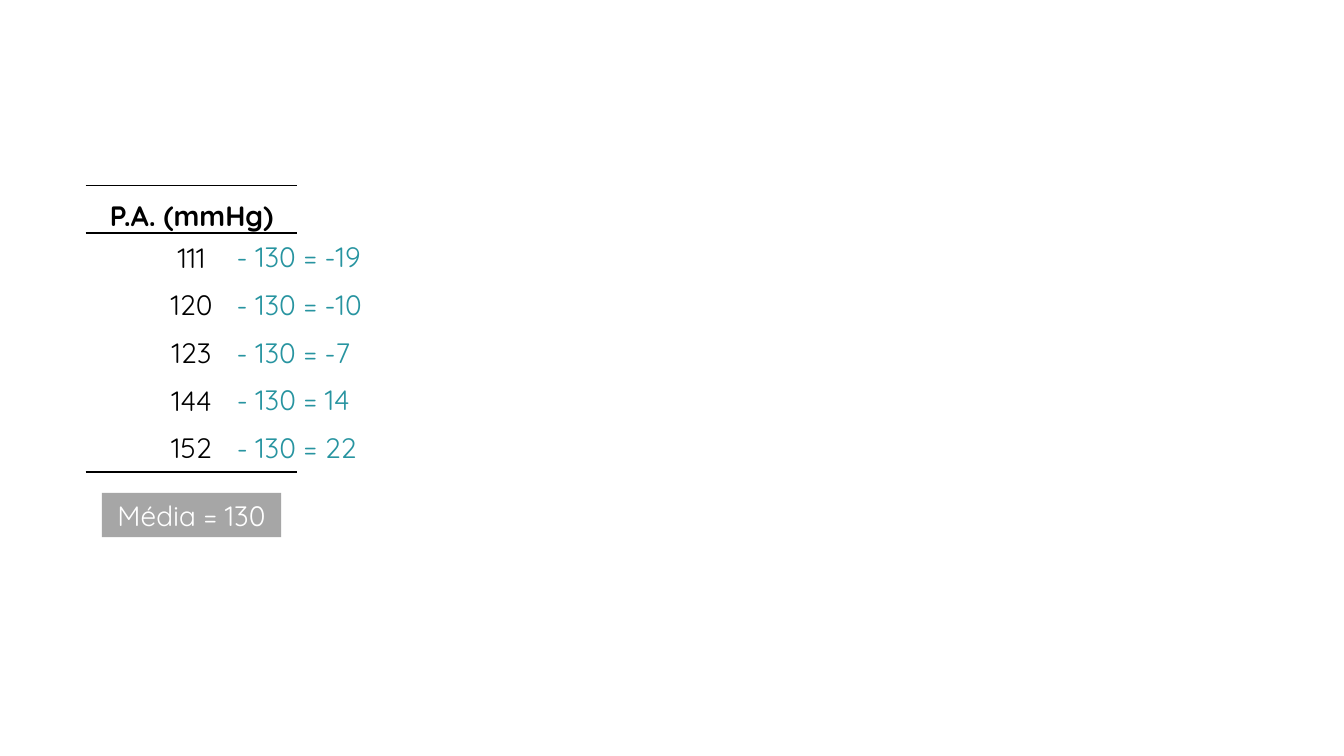
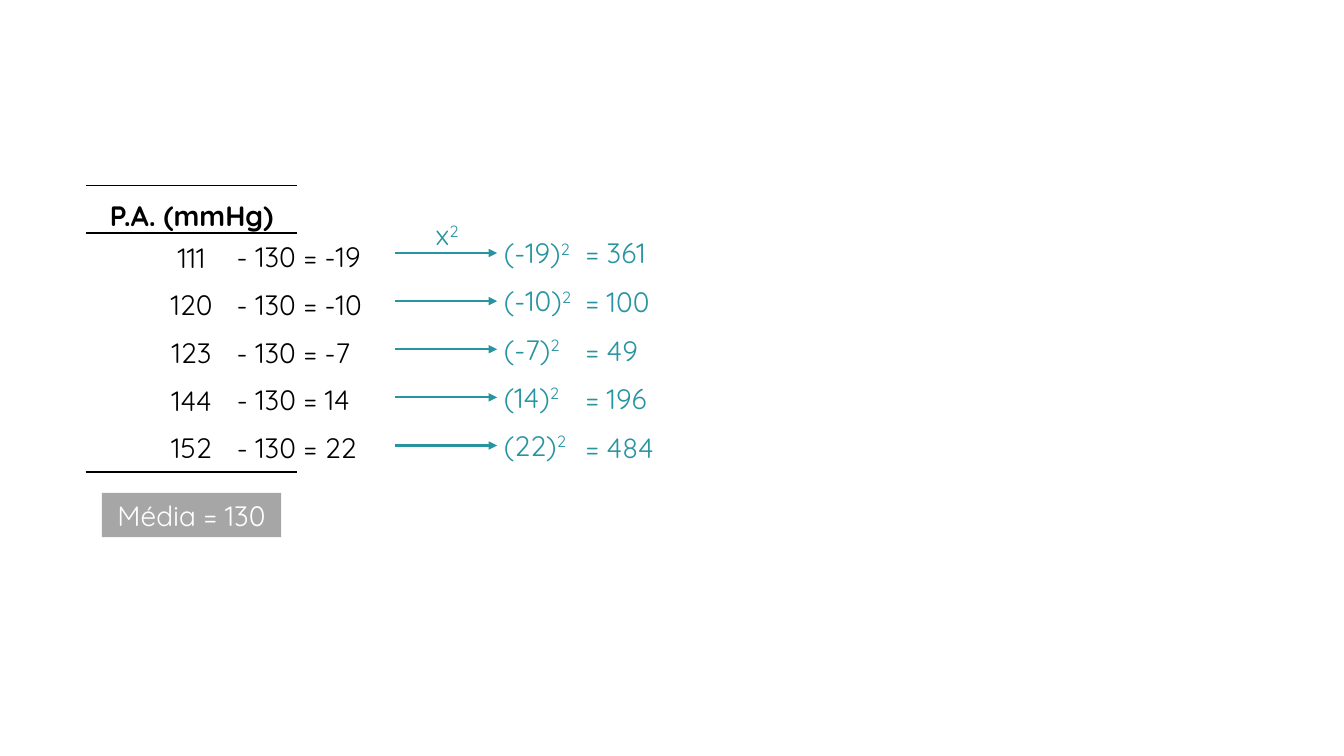
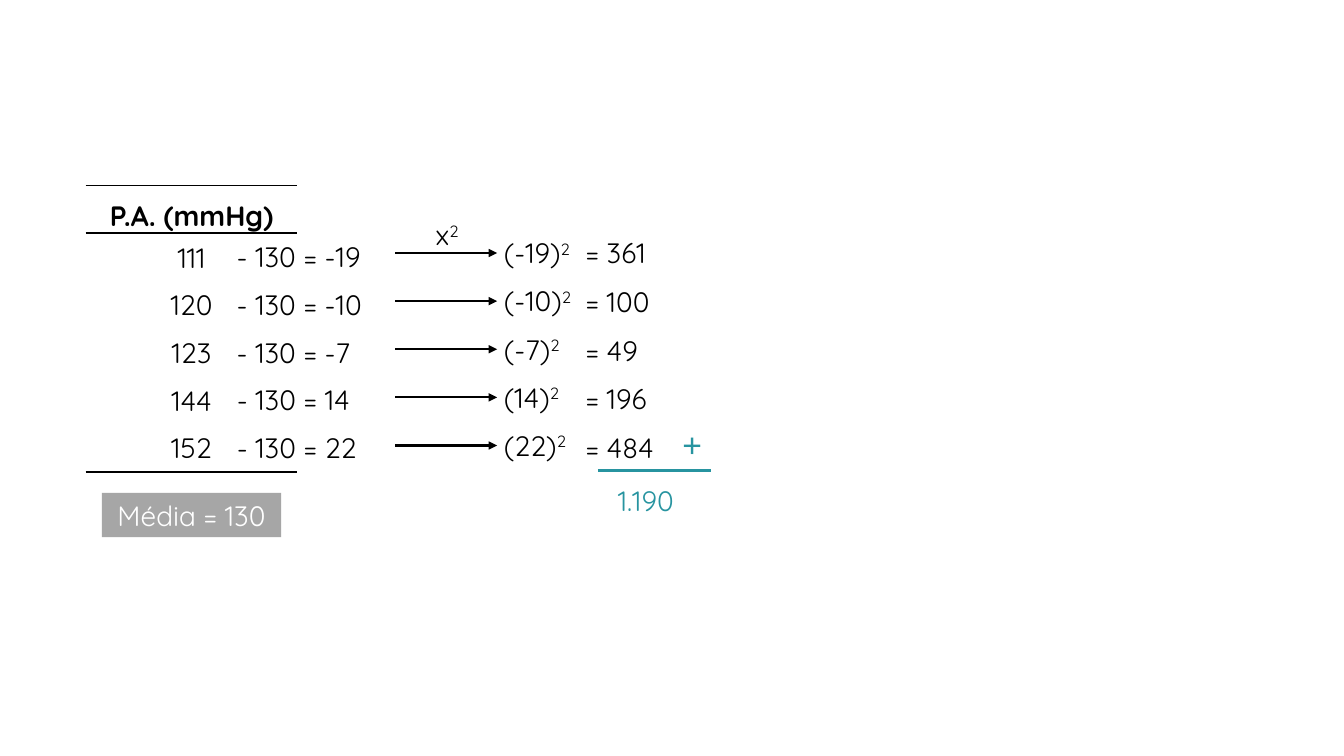
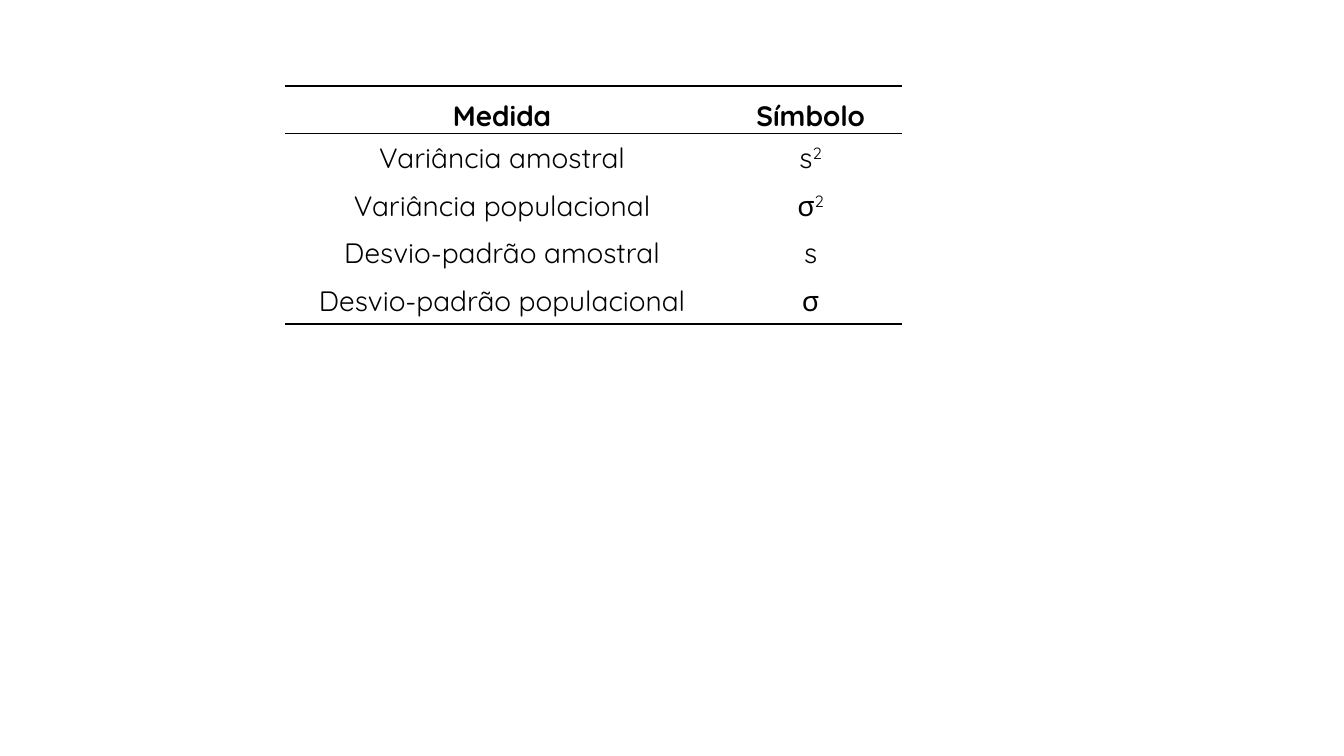
from dataclasses import dataclass

from lxml import etree
from pptx import Presentation
from pptx.dml.color import RGBColor
from pptx.enum.shapes import MSO_CONNECTOR, MSO_SHAPE
from pptx.enum.text import MSO_ANCHOR, MSO_AUTO_SIZE, PP_ALIGN
from pptx.oxml.ns import qn
from pptx.util import Inches, Pt

LEFT, CENTER = PP_ALIGN.LEFT, PP_ALIGN.CENTER
MIDDLE, BOTTOM = MSO_ANCHOR.MIDDLE, MSO_ANCHOR.BOTTOM
GROW = MSO_AUTO_SIZE.SHAPE_TO_FIT_TEXT
STRAIGHT, RECT = MSO_CONNECTOR.STRAIGHT, MSO_SHAPE.RECTANGLE


@dataclass(frozen=True)
class Theme:
    ink: str = "000000"
    teal: str = "2794A0"
    gray: str = "A6A6A6"
    white: str = "FFFFFF"
    font: str = "Quicksand"
    sign_font: str = "Arial"
    size: float = 20
    sign_size: float = 24
    rule: float = 1.5
    thick: float = 2.25
    line: float = 0.44


THEME = Theme()
MEAN = 130
VALUES = [111, 120, 123, 144, 152]
GAPS = [value - MEAN for value in VALUES]
WIDTHS = [1.67, 1.67, 1.5, 1.55, 1.55]
SYMBOLS = [
    ["Medida", "Símbolo"],
    ["Variância amostral", "s^2"],
    ["Variância populacional", "σ^2"],
    ["Desvio-padrão amostral", "s"],
    ["Desvio-padrão populacional", "σ"],
]


def assign(target, values):
    for name, value in values.items():
        setattr(target, name, value)


def spread(first, last, count):
    """Return evenly spaced positions from first to last."""
    return [first + (last - first) * i / (count - 1) for i in range(count)]


def write(frame, text, color, align=LEFT, **font):
    """Fill a frame with one line; the part after ^ is raised."""
    para = frame.paragraphs[0]
    para.alignment = align
    style = {"name": THEME.font, "size": Pt(THEME.size), "bold": False} | font
    base, _, power = text.partition("^")
    for part in filter(None, (base, power)):
        run = para.add_run()
        run.text = part
        assign(run.font, style)
        run.font.color.rgb = RGBColor.from_string(color)
    if power:
        run._r.get_or_add_rPr().set("baseline", "30000")


def label(slide, text, box, color, align=LEFT, wrap=True, **font):
    area = slide.shapes.add_textbox(*map(Inches, box))
    assign(area.text_frame, {"word_wrap": wrap, "auto_size": GROW})
    write(area.text_frame, text, color, align, **font)


def stroke(slide, start, end, color, width, arrow=False):
    line = slide.shapes.add_connector(STRAIGHT, *map(Inches, (*start, *end)))
    line.line.color.rgb = RGBColor.from_string(color)
    line.line.width = Pt(width)
    if arrow:
        etree.SubElement(line.line._get_or_add_ln(), qn("a:tailEnd"), type="triangle")
    etree.SubElement(line._element.spPr, qn("a:effectLst"))


def border(cell, sides):
    """Rule the named sides of a cell and clear the others."""
    props = cell._tc.get_or_add_tcPr()
    for spot, side in enumerate("LRTB"):
        edge = etree.Element(qn(f"a:ln{side}"), w=str(Pt(THEME.rule)))
        if side in sides:
            fill = etree.SubElement(edge, qn("a:solidFill"))
            etree.SubElement(fill, qn("a:srgbClr"), val=THEME.ink)
        else:
            etree.SubElement(edge, qn("a:noFill"))
        props.insert(spot, edge)


def ruled(slide, rows, box, widths):
    """Add a table ruled above and below its header and at its foot."""
    last = len(rows) - 1
    table = slide.shapes.add_table(len(rows), len(widths), *map(Inches, box)).table
    assign(table, {"first_row": False, "horz_banding": False})
    for column, width in zip(table.columns, widths):
        column.width = Inches(width)
    thin = Inches(0.01)
    for i, row in enumerate(rows):
        head = i == 0
        sides = ("T" if i < 2 else "") + ("B" if i in (0, last) else "")
        for j, text in enumerate(row):
            cell = table.cell(i, j)
            assign(cell, {
                "margin_left": thin, "margin_right": thin,
                "margin_top": thin, "margin_bottom": 0,
                "vertical_anchor": BOTTOM if head else MIDDLE,
            })
            cell.fill.background()
            border(cell, sides)
            write(cell.text_frame, text, THEME.ink, CENTER, bold=head)


def sample(slide, left, top):
    """Place the readings with their mean below."""
    rows = [["P.A. (mmHg)"]] + [[str(value)] for value in VALUES]
    ruled(slide, rows, (left, top, 2.1, 2.84), [2.1])
    box = (left + 0.16, top + 3.05, 1.78, THEME.line)
    badge = slide.shapes.add_shape(RECT, *map(Inches, box))
    badge.shadow.inherit = False
    badge.fill.solid()
    badge.fill.fore_color.rgb = RGBColor.from_string(THEME.gray)
    badge.line.fill.background()
    assign(badge.text_frame, {"word_wrap": False, "auto_size": GROW})
    write(badge.text_frame, f"Média = {MEAN}", THEME.white, CENTER)


def minus(slide, left, top, color):
    """Subtract the mean from each reading."""
    tops = spread(top + 0.49, top + 2.38, len(GAPS))
    for gap, width, y in zip(GAPS, WIDTHS, tops):
        box = (left + 1.4, y, width, THEME.line)
        label(slide, f"- {MEAN} = {gap}", box, color, wrap=False)


def square(slide, left, top, color):
    """Lead each difference by an arrow to its square."""
    first, count = top + 0.45, len(GAPS)
    tops = spread(first, first + 1.91, count)
    sums = spread(first, first + 1.93, count)
    for y in tops:
        mid = y + THEME.line / 2
        stroke(slide, (left + 3.07, mid), (left + 4.08, mid), color, THEME.rule, True)
    label(slide, "x^2", (left + 3.31, top + 0.27, 0.55, THEME.line), color, CENTER)
    for gap, y, down in zip(GAPS, tops, sums):
        label(slide, f"({gap})^2", (left + 4.05, y, 0.96, THEME.line), color)
        label(slide, f"= {gap ** 2}", (left + 4.86, down, 0.96, THEME.line), color)


def total(slide, left, top, color):
    """Add the squares up under a rule."""
    y = top + 2.83
    stroke(slide, (left + 5.08, y), (left + 6.2, y), color, THEME.thick)
    label(slide, "+", (left + 5.82, top + 2.32, 0.57, 0.5), color,
          name=THEME.sign_font, size=Pt(THEME.sign_size))
    label(slide, "1.190", (left + 4.96, top + 2.91, 1.19, THEME.line), color, CENTER)


def main():
    deck = Presentation()
    assign(deck, {"slide_width": Inches(13.33), "slide_height": Inches(7.5)})
    blank = deck.slide_layouts[6]
    steps = [minus, square, total]
    origin = (0.85, 1.84)
    for stage, newest in enumerate(steps):
        slide = deck.slides.add_slide(blank)
        sample(slide, *origin)
        for step in steps[:stage + 1]:
            step(slide, *origin, THEME.teal if step is newest else THEME.ink)
    ruled(deck.slides.add_slide(blank), SYMBOLS, (2.83, 0.85, 6.12, 2.37), [4.3, 1.82])
    deck.save("out.pptx")


if __name__ == "__main__":
    main()
